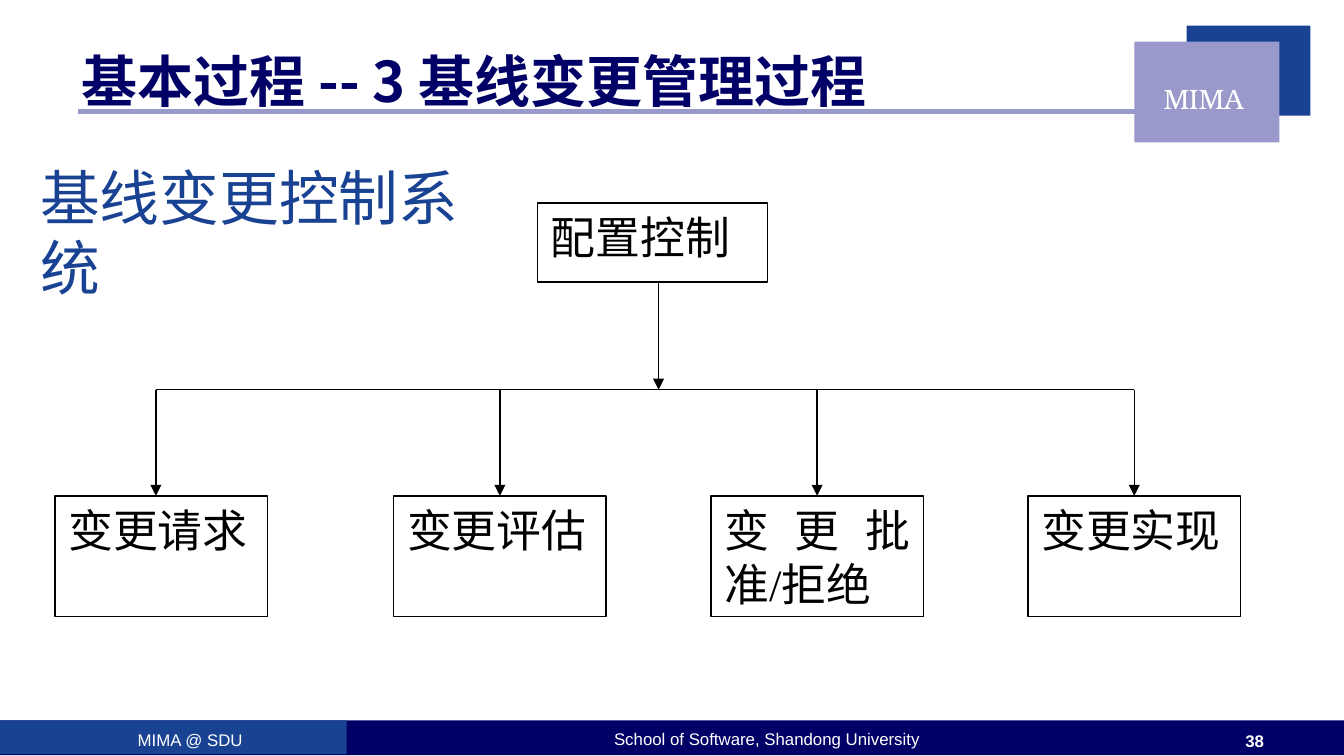
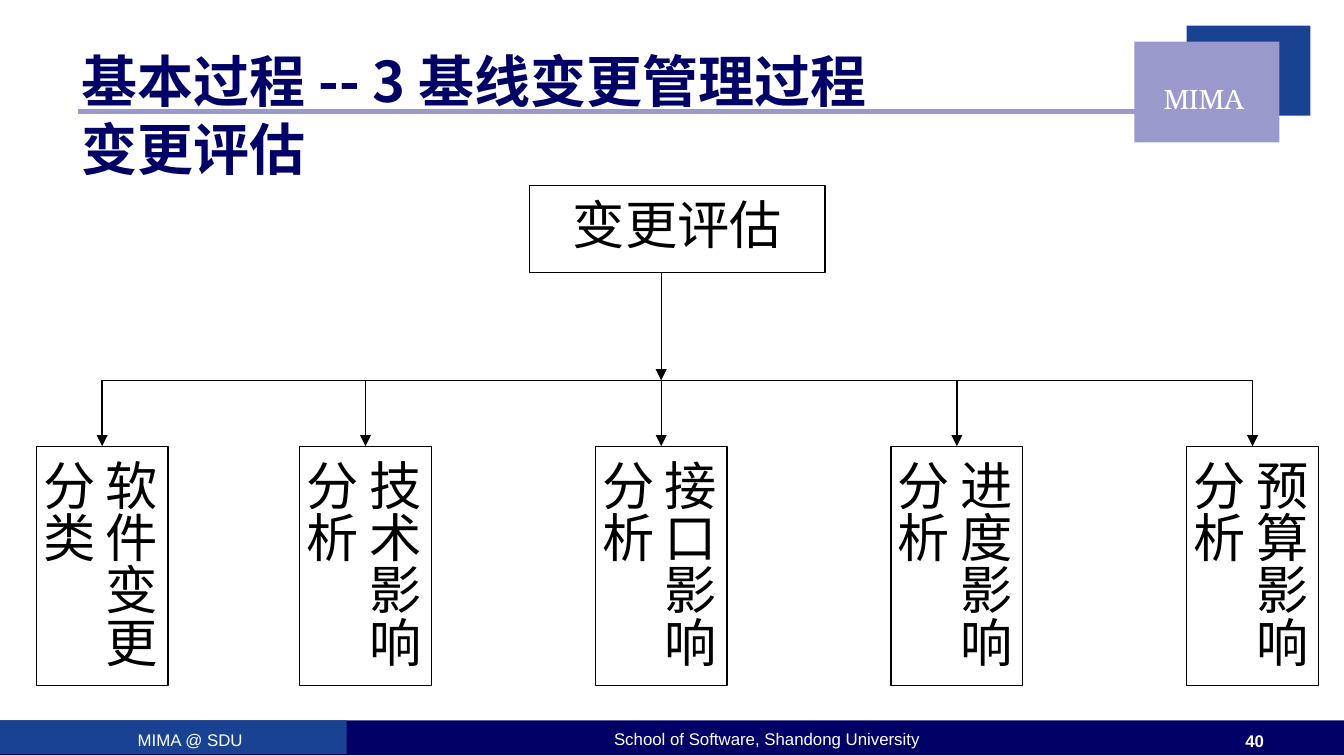
import pptx
import pptx.util
import pptx.dml.color
import pptx.enum.shapes
import pptx.enum.text
import lxml.etree

Inches = pptx.util.Inches
Pt = pptx.util.Pt
RGB = pptx.dml.color.RGBColor.from_string
ALIGN = pptx.enum.text.PP_ALIGN
ANCHOR = pptx.enum.text.MSO_ANCHOR
RECT = pptx.enum.shapes.MSO_SHAPE.RECTANGLE
STRAIGHT = pptx.enum.shapes.MSO_CONNECTOR.STRAIGHT
A = "{http://schemas.openxmlformats.org/drawingml/2006/main}"

COLORS = {"navy": "000066", "blue": "194293", "lilac": "9999CC", "white": "FFFFFF", "black": "000000"}
HEADING_FONT = "Noto Sans CJK SC"


def add_text(sp, text, size, font, color, align=ALIGN.LEFT, bold=False):
    tf = sp.text_frame
    tf.word_wrap = True
    tf.vertical_anchor = ANCHOR.TOP
    p = tf.paragraphs[0]
    p.text = text
    p.alignment = align
    p.font.size = Pt(size)
    p.font.name = font
    p.font.bold = bold
    p.font.color.rgb = RGB(COLORS[color])
    return tf


def add_line(s, x1, y1, x2, y2, color="black", width=0.75, arrow=False):
    cn = s.shapes.add_connector(STRAIGHT, Inches(x1), Inches(y1), Inches(x2), Inches(y2))
    cn.line.color.rgb = RGB(COLORS[color])
    cn.line.width = Pt(width)
    if arrow:
        lxml.etree.SubElement(cn.get_or_add_ln(), A + "tailEnd", type="triangle")
    lxml.etree.SubElement(cn._element.spPr, A + "effectLst")
    return cn


BANDS = [
    (0, 5.36, 10, 0.26, "navy"),
    (8.83, 0.19, 0.92, 0.67, "blue"),
    (8.44, 0.31, 1.08, 0.75, "lilac"),
    (0, 5.36, 2.58, 0.25, "blue"),
]

SLIDES = [
    {
        "number": "38",
        "title": "基本过程 -- 3 基线变更管理过程",
        "subtitle": "基线变更控制系统",
        "size": 24,
        "root": ("配置控制", 4, 1.51, 1.71, 0.59),
        "root_align": ALIGN.JUSTIFY,
        "stem": 4.9,
        "bus": 2.9,
        "children": ["变更请求", "变更评估", "变更批准/拒绝", "变更实现"],
        "first_left": 0.41, "first_stem": 1.16, "second_left": 2.93, "step": 2.36,
        "child_box": (3.69, 1.58, 0.9),
        "vertical": False,
    },
    {
        "number": "40",
        "title": "基本过程 -- 3 基线变更管理过程\v变更评估",
        "subtitle": None,
        "size": 28,
        "root": ("变更评估", 3.94, 1.38, 2.2, 0.65),
        "root_align": ALIGN.CENTER,
        "stem": 4.92,
        "bus": 2.83,
        "children": ["软件变更分类", "技术影响分析", "接口影响分析", "进度影响分析", "预算影响分析"],
        "first_left": 0.27, "first_stem": 0.76, "second_left": 2.23, "step": 2.2,
        "child_box": (3.32, 0.98, 1.78),
        "vertical": True,
    },
]

prs = pptx.Presentation()
prs.slide_width = Inches(10)
prs.slide_height = Inches(10 * 9 / 16)

for chart in SLIDES:
    s = prs.slides.add_slide(prs.slide_layouts[6])

    add_line(s, 0.58, 0.83, 8.5, 0.83, "lilac", 2.25)
    for x, y, w, h, color in BANDS:
        sp = s.shapes.add_shape(RECT, Inches(x), Inches(y), Inches(w), Inches(h))
        sp.shadow.inherit = False
        sp.fill.solid()
        sp.fill.fore_color.rgb = RGB(COLORS[color])
        sp.line.fill.background()

    labels = [
        ("MIMA", 8.33, 0.56, 1.25, 0.35, 15, "TeX Gyre Bonum", False),
        ("MIMA @ SDU", 0.25, 5.38, 2.33, 0.14, 9, "Arial", False),
        ("School of Software, Shandong University", 2.87, 5.37, 5.67, 0.21, 9, "Arial", False),
        (chart["number"], 9.1, 5.39, 0.47, 0.15, 9, "Arial", True),
    ]
    for text, x, y, w, h, size, font, bold in labels:
        sp = s.shapes.add_textbox(Inches(x), Inches(y), Inches(w), Inches(h))
        add_text(sp, text, size, font, "white", ALIGN.CENTER, bold)

    headings = [(chart["title"], 0.51, 0.3, 8.09, 0.54, 30, 36, "navy", True)]
    if chart["subtitle"]:
        headings.append((chart["subtitle"], 0.2, 1.16, 3.7, 0.64, 32, 37.5, "blue", False))
    for text, x, y, w, h, size, spacing, color, bold in headings:
        sp = s.shapes.add_textbox(Inches(x), Inches(y), Inches(w), Inches(h))
        tf = add_text(sp, text, size, HEADING_FONT, color, bold=bold)
        tf.paragraphs[0].line_spacing = Pt(spacing)

    top, width, height = chart["child_box"]
    boxes = [(*chart["root"], chart["root_align"])]
    stems = []
    for i, text in enumerate(chart["children"]):
        left = chart["second_left"] + (i - 1) * chart["step"] if i else chart["first_left"]
        boxes.append((text, left, top, width, height, ALIGN.JUSTIFY))
        stems.append(left + width / 2 if i else chart["first_stem"])

    nodes = []
    for text, x, y, w, h, align in boxes:
        sp = s.shapes.add_shape(RECT, Inches(x), Inches(y), Inches(w), Inches(h))
        sp.shadow.inherit = False
        sp.fill.solid()
        sp.fill.fore_color.rgb = RGB(COLORS["white"])
        sp.line.color.rgb = RGB(COLORS["black"])
        sp.line.width = Pt(0.75)
        tf = add_text(sp, text, chart["size"], "Times New Roman", "black", align)
        if chart["vertical"] and nodes:
            tf._txBody.bodyPr.set("vert", "eaVert")
        nodes.append(sp)

    bus = chart["bus"]
    root_bottom = chart["root"][2] + chart["root"][4]
    add_line(s, stems[0], bus, stems[-1], bus)
    add_line(s, chart["stem"], root_bottom, chart["stem"], bus, arrow=True)
    for x, box, node in zip(stems, boxes[1:], nodes[1:]):
        cn = add_line(s, x, bus, x, top, arrow=True)
        if abs(x - box[1] - width / 2) < 0.01:
            cn.end_connect(node, 0)

prs.save("out.pptx")
